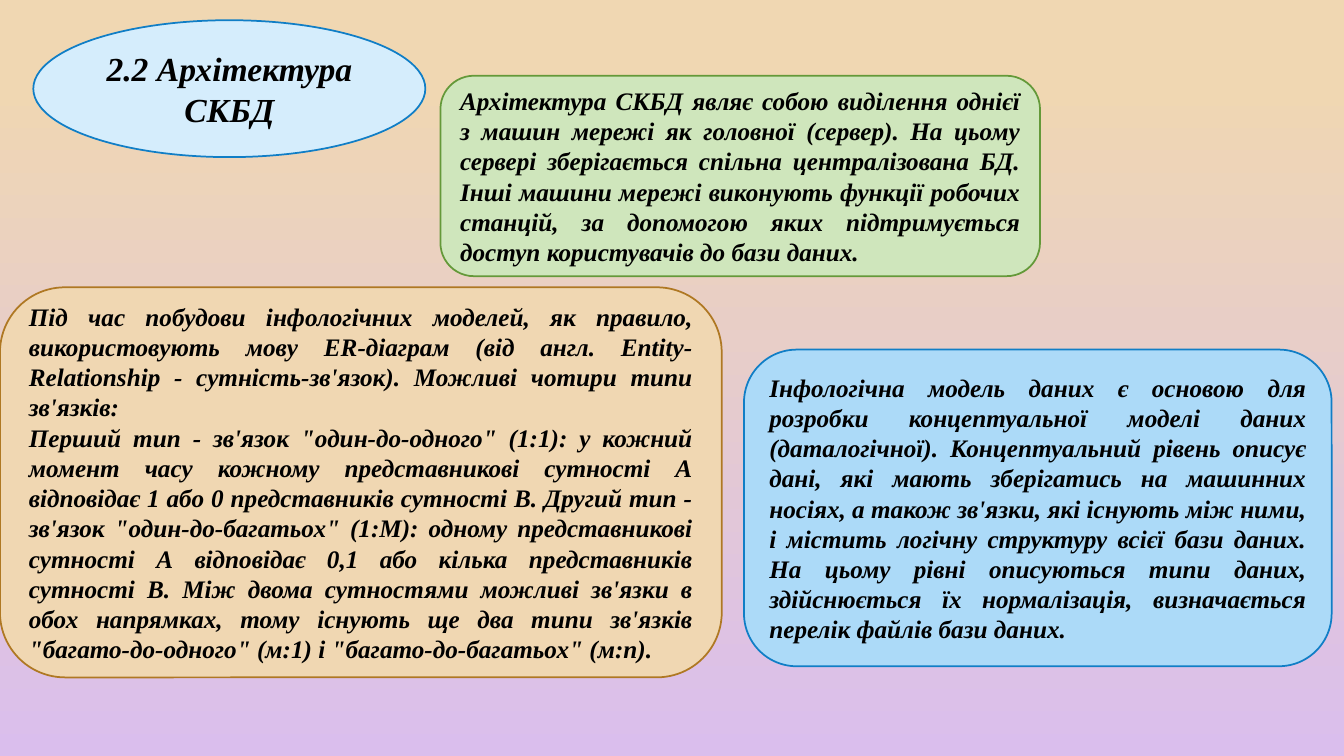
from pptx import Presentation
from pptx.dml.color import RGBColor
from pptx.enum.shapes import MSO_SHAPE
from pptx.enum.text import MSO_ANCHOR, PP_ALIGN
from pptx.util import Cm, Pt

ELLIPSE, ROUNDED = MSO_SHAPE.OVAL, MSO_SHAPE.ROUNDED_RECTANGLE
CENTER, JUSTIFY = PP_ALIGN.CENTER, PP_ALIGN.JUSTIFY
MIDDLE = MSO_ANCHOR.MIDDLE

BLACK = RGBColor(0x00, 0x00, 0x00)
SAND = RGBColor(0xF0, 0xD7, 0xB2)
LILAC = RGBColor(0xDA, 0xBE, 0xED)
BROWN = RGBColor(0xAF, 0x78, 0x23)
PALE_BLUE = RGBColor(0xD5, 0xED, 0xFC)
LIGHT_BLUE = RGBColor(0xAC, 0xDA, 0xF8)
BLUE = RGBColor(0x10, 0x7E, 0xC6)
LIGHT_GREEN = RGBColor(0xCF, 0xE6, 0xBC)
GREEN = RGBColor(0x64, 0x99, 0x39)

TITLE = "2.2 Архітектура СКБД"
ARCHITECTURE = (
    "Архітектура СКБД являє собою виділення однієї з машин мережі як "
    "головної (сервер). На цьому сервері зберігається спільна "
    "централізована БД. Інші машини мережі виконують функції робочих "
    "станцій, за допомогою яких підтримується доступ користувачів до "
    "бази даних."
)
RELATIONSHIPS = (
    "Під час побудови інфологічних моделей, як правило, використовують "
    "мову ER-діаграм (від англ. Entity-Relationship - сутність-зв'язок). "
    "Можливі чотири типи зв'язків:\n"
    "Перший тип - зв'язок \"один-до-одного\" (1:1): у кожний момент часу "
    "кожному представникові сутності А відповідає 1 або 0 представників "
    "сутності В. Другий тип - зв'язок \"один-до-багатьох\" (1:М): одному "
    "представникові сутності А відповідає 0,1 або кілька представників "
    "сутності В. Між двома сутностями можливі зв'язки в обох напрямках, "
    "тому існують ще два типи зв'язків \"багато-до-одного\" (м:1) і "
    "\"багато-до-багатьох\" (м:n)."
)
DATA_MODEL = (
    "Інфологічна модель даних є основою для розробки концептуальної "
    "моделі даних (даталогічної). Концептуальний рівень описує дані, які "
    "мають зберігатись на машинних носіях, а також зв'язки, які існують "
    "між ними, і містить логічну структуру всієї бази даних. На цьому "
    "рівні описуються типи даних, здійснюється їх нормалізація, "
    "визначається перелік файлів бази даних."
)


class Deck:
    font = "Times New Roman"
    color = BLACK
    line_width = Pt(1.25)

    def __init__(self, slide):
        self.s = slide

    def background(self, top, bottom):
        fill = self.s.background.fill
        fill.gradient()
        fill.gradient_angle = 270
        for stop, position, color in zip(fill.gradient_stops, (0.11, 1), (top, bottom)):
            stop.position = position
            stop.color.rgb = color

    def box(self, kind, at, fill, line, text, size=18, align=JUSTIFY):
        sp = self.s.shapes.add_shape(kind, *map(Cm, at))
        sp.shadow.inherit = False
        sp.fill.solid()
        sp.fill.fore_color.rgb = fill
        sp.line.color.rgb = line
        sp.line.width = self.line_width
        tf = sp.text_frame
        tf.word_wrap = True
        tf.vertical_anchor = MIDDLE
        tf.text = text
        for p in tf.paragraphs:
            p.alignment = align
            for r in p.runs:
                r.font.name = self.font
                r.font.size = Pt(size)
                r.font.bold = r.font.italic = True
                r.font.color.rgb = self.color


prs = Presentation()
prs.slide_width, prs.slide_height = Cm(33.87), Cm(19.05)
deck = Deck(prs.slides.add_slide(prs.slide_layouts[6]))
deck.background(SAND, LILAC)
deck.box(ELLIPSE, (0.84, 0.51, 9.88, 3.45), PALE_BLUE, BLUE, TITLE, 24, CENTER)
deck.box(ROUNDED, (11.1, 1.91, 15.11, 5.05), LIGHT_GREEN, GREEN, ARCHITECTURE)
deck.box(ROUNDED, (0, 7.24, 18.19, 9.83), SAND, BROWN, RELATIONSHIPS)
deck.box(ROUNDED, (18.75, 8.81, 14.81, 7.98), LIGHT_BLUE, BLUE, DATA_MODEL)
prs.save("out.pptx")
